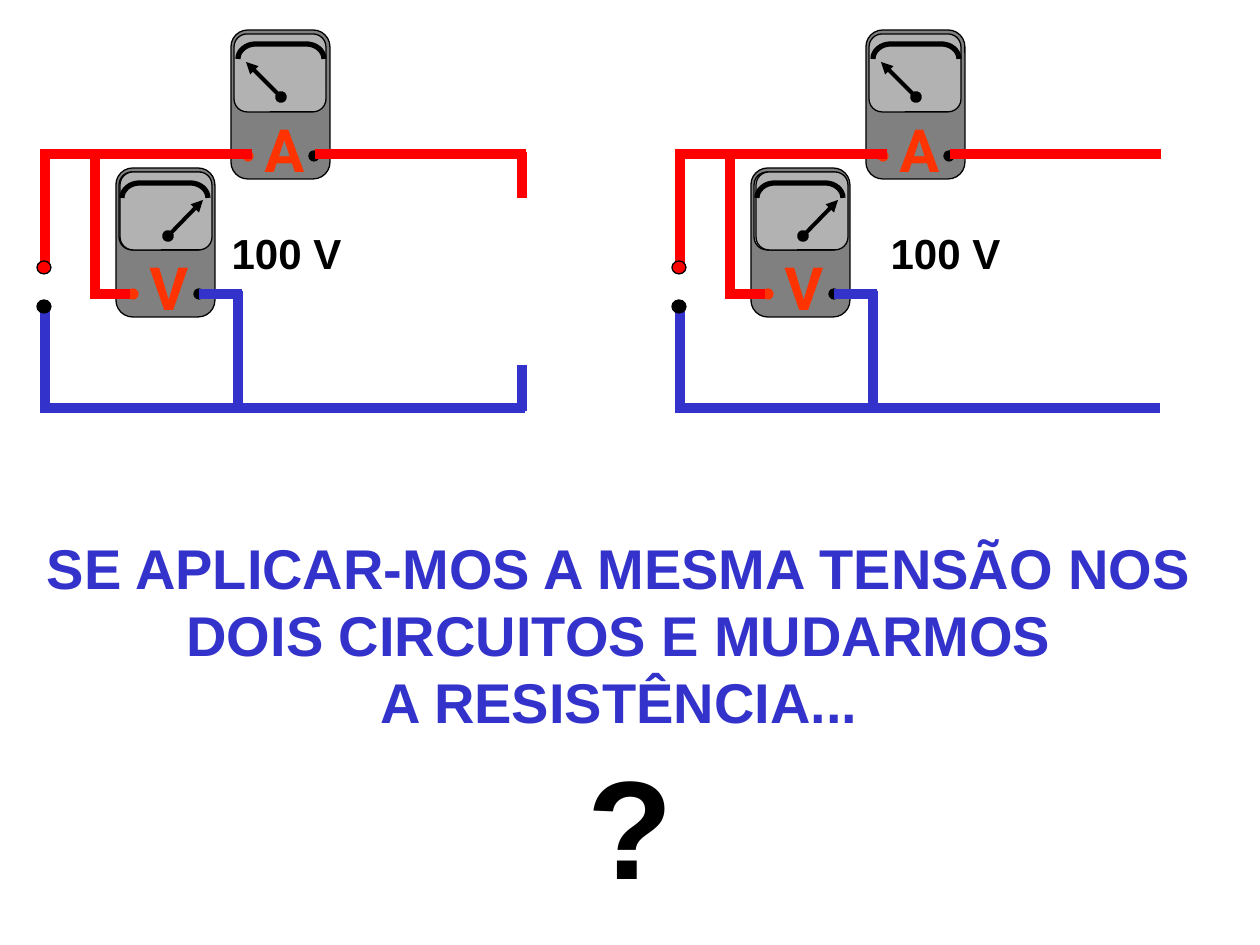
from dataclasses import dataclass
from math import cos, pi, sin

from lxml.etree import SubElement
from pptx import Presentation
from pptx.dml.color import RGBColor
from pptx.enum.shapes import MSO_CONNECTOR as Connector, MSO_SHAPE as Shape
from pptx.enum.text import MSO_AUTO_SIZE as AutoSize, PP_ALIGN as Align
from pptx.oxml.ns import qn
from pptx.util import Emu, Pt

EMU_PER_PX = 914400 / 126
COLORS = {
    "red": "FF0000",
    "blue": "3333CC",
    "orange": "FF3300",
    "black": "000000",
    "body": "808080",
    "screen": "B2B2B2",
}
CIRCUIT_PITCH = 635
TERMINAL_SIZE = 10
ARC_STEPS = 8


@dataclass(frozen=True)
class Wire:
    x1: int
    y1: int
    x2: int
    y2: int
    color: str


@dataclass(frozen=True)
class Label:
    text: str
    left: int
    top: int
    width: int
    height: int
    size: int
    color: str = "black"
    font: str = "Arial"
    align: Align = Align.CENTER
    spacing: float = 1.0


@dataclass(frozen=True)
class Meter:
    letter: str
    left: int
    top: int
    screens: tuple[int, ...]
    arc: tuple[int, int]
    needle: tuple[int, int, int, int]


@dataclass(frozen=True)
class Circuit:
    left: int
    voltmeter_screens: tuple[int, ...]
    stubs: tuple[Wire, ...]
    voltage_left: int


MAIN_WIRES = (
    Wire(45, 154, 45, 265, "red"),
    Wire(45, 302, 45, 413, "blue"),
    Wire(95, 156, 95, 299, "red"),
    Wire(238, 291, 238, 412, "blue"),
    Wire(40, 154, 252, 154, "red"),
    Wire(40, 408, 525, 408, "blue"),
    Wire(315, 154, 526, 154, "red"),
)
VOLTMETER_LEADS = (
    Wire(95, 294, 130, 294, "red"),
    Wire(199, 294, 242, 294, "blue"),
)
RESISTOR_STUBS = (
    Wire(522, 365, 522, 411, "blue"),
    Wire(522, 152, 522, 198, "red"),
)
CIRCUITS = (
    Circuit(0, (3, 4), RESISTOR_STUBS, 219),
    Circuit(CIRCUIT_PITCH, (3, 5), (), 878),
)
QUESTION_LABELS = (
    Label(
        "SE APLICAR-MOS A MESMA TENSÃO NOS\nDOIS CIRCUITOS E MUDARMOS\nA RESISTÊNCIA...",
        30, 527, 1178, 214, 32, "blue",
    ),
    Label("?", 575, 733, 111, 181, 80, align=Align.LEFT),
)


def px(value: float) -> Emu:
    return Emu(round(value * EMU_PER_PX))


def rgb(name: str) -> RGBColor:
    return RGBColor.from_string(COLORS[name])


def draw_shape(slide, kind: Shape, left: int, top: int, width: int, height: int,
               fill: str, outline: str = "black"):
    shape = slide.shapes.add_shape(kind, px(left), px(top), px(width), px(height))
    shape.shadow.inherit = False
    shape.fill.solid()
    shape.fill.fore_color.rgb = rgb(fill)
    shape.line.color.rgb = rgb(outline)
    shape.line.width = Pt(0.75)
    return shape


def draw_line(slide, wire: Wire, width: float = 6, arrow: bool = False) -> None:
    connector = slide.shapes.add_connector(
        Connector.STRAIGHT, px(wire.x1), px(wire.y1), px(wire.x2), px(wire.y2))
    connector.line.color.rgb = rgb(wire.color)
    connector.line.width = Pt(width)
    properties = connector._element.spPr
    SubElement(properties, qn("a:effectLst"))
    if arrow:
        line = properties.find(qn("a:ln"))
        SubElement(line, qn("a:headEnd"), type="oval")
        SubElement(line, qn("a:tailEnd"), type="triangle")


def draw_label(slide, label: Label) -> None:
    box = slide.shapes.add_textbox(
        px(label.left), px(label.top), px(label.width), px(label.height))
    text_frame = box.text_frame
    text_frame.text = label.text
    text_frame.word_wrap = False
    text_frame.auto_size = AutoSize.SHAPE_TO_FIT_TEXT
    for paragraph in text_frame.paragraphs:
        paragraph.alignment = label.align
        paragraph.line_spacing = label.spacing
        for run in paragraph.runs:
            run.font.name = label.font
            run.font.size = Pt(label.size)
            run.font.bold = True
            run.font.color.rgb = rgb(label.color)


def draw_arc(slide, left: int, top: int, width: int = 86, height: int = 15,
             corner: int = 18) -> None:
    angles = [step * pi / 2 / ARC_STEPS for step in range(ARC_STEPS + 1)]
    rising = [(corner * (1 - cos(angle)), height * (1 - sin(angle))) for angle in angles]
    falling = [(width - x, y) for x, y in reversed(rising)]
    points = [(px(left + x), px(top + y)) for x, y in rising + falling]
    builder = slide.shapes.build_freeform(*points[0])
    builder.add_line_segments(points[1:], close=False)
    arc = builder.convert_to_shape()
    arc.shadow.inherit = False
    arc.fill.background()
    arc.line.color.rgb = rgb("black")
    arc.line.width = Pt(3)


def draw_meter(slide, meter: Meter) -> None:
    left, top = meter.left, meter.top
    body = draw_shape(slide, Shape.ROUNDED_RECTANGLE, left, top, 99, 149, "body")
    body.adjustments[0] = 0.17
    for offset in meter.screens:
        draw_shape(slide, Shape.ROUNDED_RECTANGLE, left + offset, top + 4, 92, 78, "screen")
    draw_arc(slide, left + meter.arc[0], top + meter.arc[1])
    x1, y1, x2, y2 = meter.needle
    draw_line(slide, Wire(left + x1, top + y1, left + x2, top + y2, "black"), 2.25, True)
    for offset, color in ((12, "orange"), (78, "black")):
        draw_shape(slide, Shape.OVAL, left + offset, top + 121,
                   TERMINAL_SIZE, TERMINAL_SIZE, color, color)
    draw_label(slide, Label(meter.letter, left + 21, top + 91, 64, 71, 34, "orange",
                            "Roboto", Align.LEFT, 0.8))


def draw_wires(slide, wires: tuple[Wire, ...], left: int) -> None:
    for wire in wires:
        draw_line(slide, Wire(wire.x1 + left, wire.y1, wire.x2 + left, wire.y2, wire.color))


def draw_circuit(slide, circuit: Circuit) -> None:
    left = circuit.left
    draw_meter(slide, Meter("A", left + 231, 30, (3,), (7, 14), (50, 67, 15, 32)))
    draw_wires(slide, MAIN_WIRES + circuit.stubs, left)
    for top, color in ((261, "red"), (300, "black")):
        draw_shape(slide, Shape.OVAL, left + 37, top, 14, 13, color)
    draw_meter(slide, Meter("V", left + 116, 168, circuit.voltmeter_screens,
                            (6, 15), (52, 68, 87, 32)))
    draw_wires(slide, VOLTMETER_LEADS, left)
    draw_label(slide, Label("100 V", circuit.voltage_left, 221, 135, 63, 24))


def main() -> None:
    presentation = Presentation()
    presentation.slide_width = px(1260)
    presentation.slide_height = px(945)
    slide = presentation.slides.add_slide(presentation.slide_layouts[6])
    for circuit in CIRCUITS:
        draw_circuit(slide, circuit)
    for label in QUESTION_LABELS:
        draw_label(slide, label)
    presentation.save("out.pptx")


if __name__ == "__main__":
    main()
